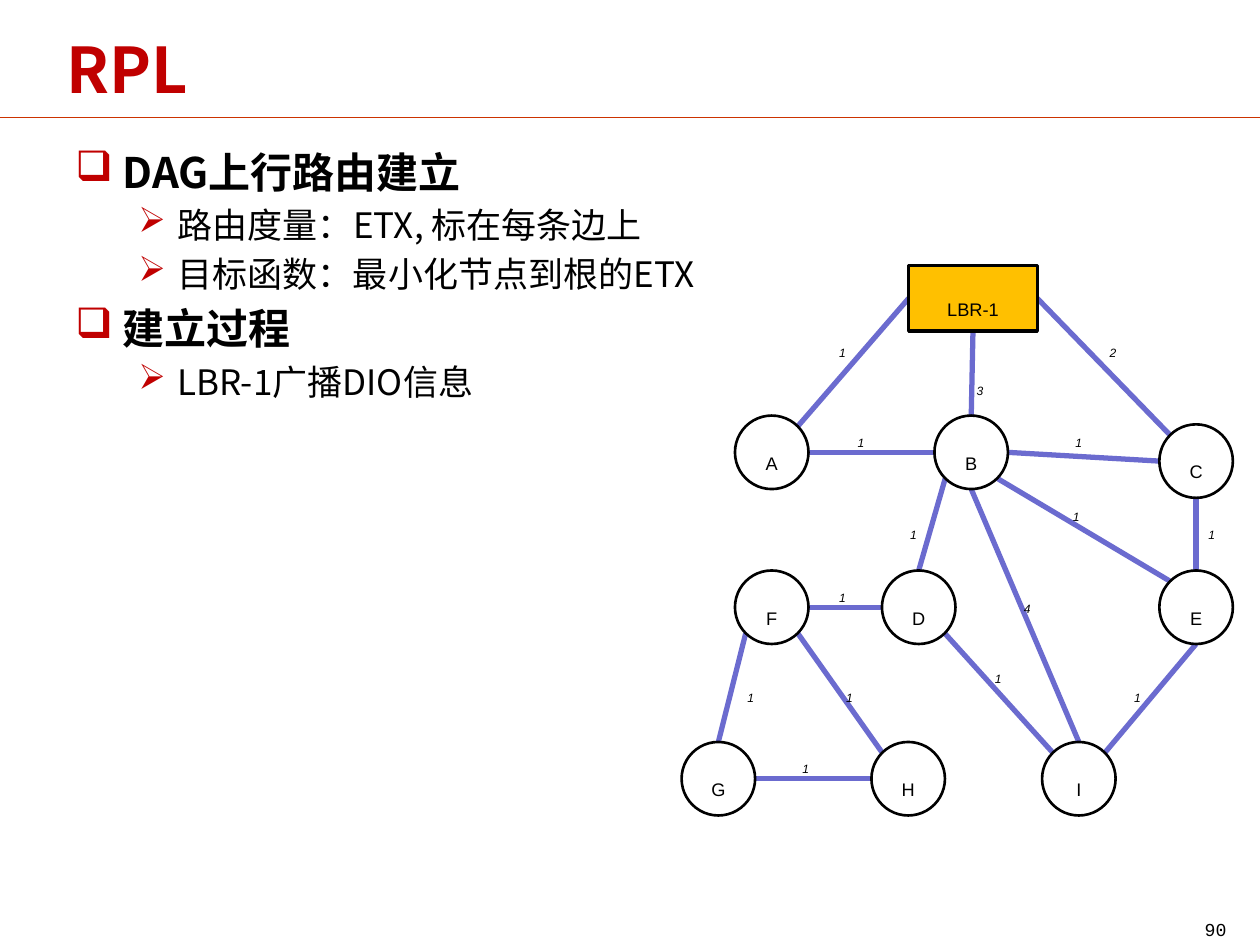
from math import cos, radians, sin

from lxml import etree
from pptx import Presentation
from pptx.dml.color import RGBColor
from pptx.enum.shapes import MSO_CONNECTOR, MSO_SHAPE
from pptx.enum.text import MSO_ANCHOR, PP_ALIGN
from pptx.oxml.ns import qn
from pptx.util import Pt

COLORS = {"red": "C00000", "rule": "CC3300", "edge": "6B6BCF",
          "root": "FFC000", "black": "000000", "white": "FFFFFF"}
CJK = "Noto Sans CJK SC"
RADIUS = 21


def add_run(p, text, size, font, color="black", bold=False, italic=False, lowered=False):
    r = p.add_run()
    r.text = text
    r.font.size = Pt(size)
    r.font.name = font
    r.font.bold = bold
    r.font.italic = italic
    r.font.color.rgb = RGBColor.from_string(COLORS[color])
    rPr = r._r.get_or_add_rPr()
    etree.SubElement(rPr, qn("a:ea"), typeface=font)
    if lowered:
        rPr.set("baseline", "-25000")


def add_line(x1, y1, x2, y2, color, width):
    s = slide.shapes.add_connector(MSO_CONNECTOR.STRAIGHT, Pt(x1), Pt(y1), Pt(x2), Pt(y2))
    s.line.color.rgb = RGBColor.from_string(COLORS[color])
    s.line.width = Pt(width)
    etree.SubElement(s._element.spPr, qn("a:effectLst"))


prs = Presentation()
prs.slide_width, prs.slide_height = Pt(720), Pt(540)
slide = prs.slides.add_slide(prs.slide_layouts[6])

# Title and rule
add_line(0, 67, 720, 67, "rule", 0.25)
tf = slide.shapes.add_textbox(Pt(31), Pt(3), Pt(649), Pt(72)).text_frame
tf.word_wrap = True
tf.vertical_anchor = MSO_ANCHOR.MIDDLE
add_run(tf.paragraphs[0], "RPL", 36, CJK, "red", bold=True)

# Bulleted text: level, text
outline = [
    (0, "DAG上行路由建立"),
    (1, "路由度量：ETX, 标在每条边上"),
    (1, "目标函数：最小化节点到根的ETX"),
    (0, "建立过程"),
    (1, "LBR-1广播DIO信息"),
]
# Per level: bullet, size, left margin, hanging indent
levels = [("❑", 24, 27, 27), ("➢", 20, 58.5, 22.5)]
tf = slide.shapes.add_textbox(Pt(36), Pt(80), Pt(654), Pt(424)).text_frame
tf.word_wrap = True
for i, (level, text) in enumerate(outline):
    bullet, size, margin, hanging = levels[level]
    p = tf.add_paragraph() if i else tf.paragraphs[0]
    p.level = level
    pPr = p._p.get_or_add_pPr()
    pPr.set("marL", str(Pt(margin)))
    pPr.set("indent", str(-Pt(hanging)))
    buClr = etree.SubElement(pPr, qn("a:buClr"))
    etree.SubElement(buClr, qn("a:srgbClr"), val=COLORS["red"])
    etree.SubElement(pPr, qn("a:buChar"), char=bullet)
    if i:
        p.space_before = Pt(size * 0.2)
    add_run(p, text, size, CJK, bold=level == 0)

# Nodes: centre and half sizes
nodes = {name: (x, y, RADIUS, RADIUS) for name, x, y in [
    ("A", 441, 258.5), ("B", 555, 258.5), ("C", 683.5, 263.5),
    ("F", 441, 347), ("D", 525, 347), ("E", 683.5, 347),
    ("G", 410.5, 445), ("H", 519, 445), ("I", 616.5, 445)]}
nodes["LBR-1"] = (556, 170.5, 36.75, 18.75)
compass = {d: 45 * i for i, d in enumerate(["E", "SE", "S", "SW", "W", "NW", "N", "NE"])}

# Edges: start node and side, end node and side, cost, left and top of its label
edges = [
    ("LBR-1", "W", "A", "NE", "1", 472.5, 186),
    ("LBR-1", "S", "B", "N", "3", 551, 207.5),
    ("LBR-1", "E", "C", "NW", "2", 627, 186),
    ("A", "E", "B", "W", "1", 483, 237.5),
    ("B", "E", "C", "W", "1", 607.5, 237.5),
    ("B", "SE", "E", "NW", "1", 606, 279.5),
    ("B", "SW", "D", "N", "1", 513, 290),
    ("B", "S", "I", "N", "4", 578, 332),
    ("C", "S", "E", "N", "1", 683.5, 290),
    ("E", "S", "I", "NE", "1", 641, 383),
    ("D", "W", "F", "E", "1", 472.5, 326),
    ("D", "SE", "I", "NW", "1", 561.5, 372),
    ("F", "SW", "G", "N", "1", 420, 383),
    ("F", "SE", "H", "NW", "1", 476.5, 383),
    ("G", "E", "H", "W", "1", 451.5, 423.5),
]
for start, side1, end, side2, *label in edges:
    ends = []
    for name, side in ((start, side1), (end, side2)):
        x, y, rx, ry = nodes[name]
        angle = radians(compass[side])
        ends += [x + rx * cos(angle), y + ry * sin(angle)]
    add_line(*ends, "edge", 3)

for name, (x, y, rx, ry) in nodes.items():
    is_root = name == "LBR-1"
    s = slide.shapes.add_shape(MSO_SHAPE.RECTANGLE if is_root else MSO_SHAPE.OVAL,
                               Pt(x - rx), Pt(y - ry), Pt(2 * rx), Pt(2 * ry))
    s.shadow.inherit = False
    s.fill.solid()
    s.fill.fore_color.rgb = RGBColor.from_string(COLORS["root" if is_root else "white"])
    s.line.color.rgb = RGBColor.from_string(COLORS["black"])
    s.line.width = Pt(2 if is_root else 1.5)
    tf = s.text_frame
    tf.vertical_anchor = MSO_ANCHOR.MIDDLE
    p = tf.paragraphs[0]
    p.alignment = PP_ALIGN.CENTER
    add_run(p, name, 18, "Arial", lowered=True)

# Edge costs
for *route, cost, left, top in edges:
    tf = slide.shapes.add_textbox(Pt(left), Pt(top), Pt(21.5), Pt(21.5)).text_frame
    tf.word_wrap = True
    add_run(tf.paragraphs[0], cost, 12, "Arial", italic=True, lowered=True)

# Page number
tf = slide.shapes.add_textbox(Pt(648), Pt(516), Pt(60), Pt(18)).text_frame
tf.word_wrap = True
tf.vertical_anchor = MSO_ANCHOR.MIDDLE
p = tf.paragraphs[0]
p.alignment = PP_ALIGN.RIGHT
add_run(p, "90", 18, "Courier New", lowered=True)

prs.save("out.pptx")
